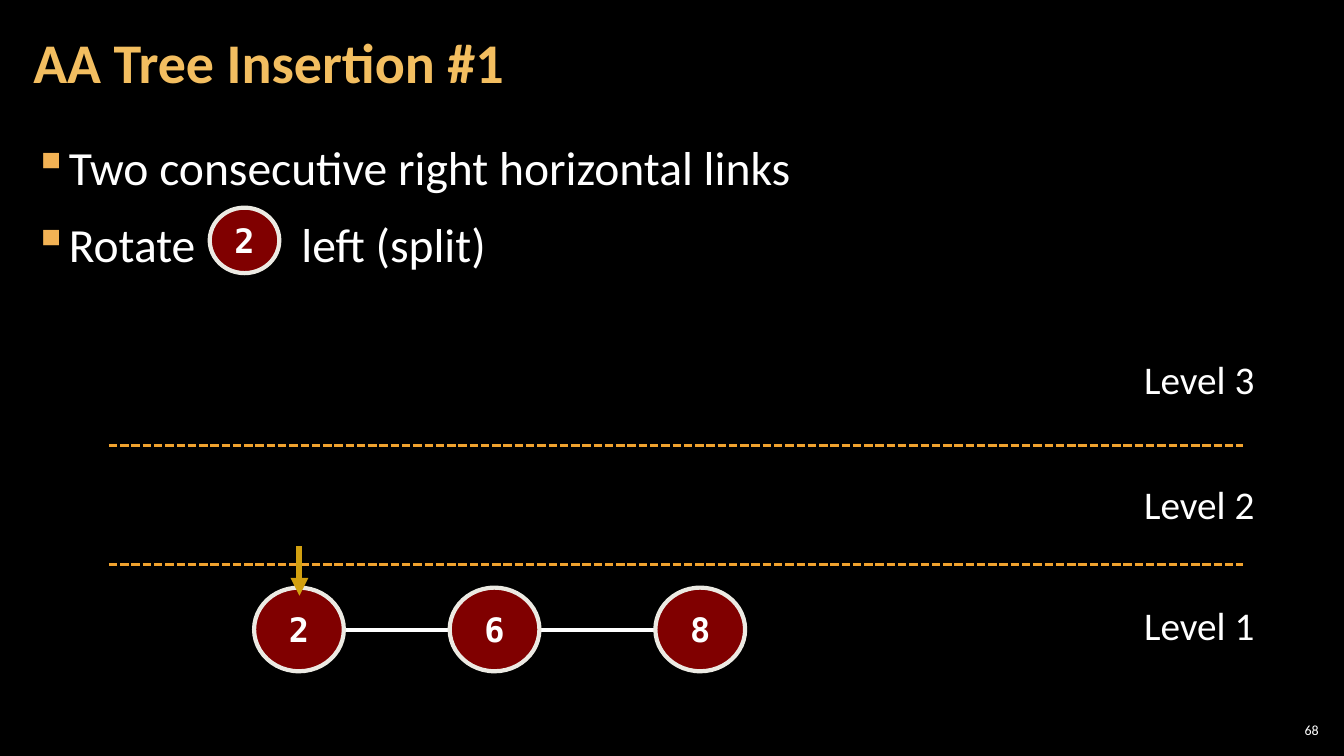
from dataclasses import dataclass

from lxml import etree
from pptx import Presentation
from pptx.dml.color import RGBColor
from pptx.enum.dml import MSO_LINE
from pptx.enum.shapes import MSO_CONNECTOR, MSO_SHAPE
from pptx.enum.text import MSO_ANCHOR, MSO_AUTO_SIZE, PP_ALIGN
from pptx.oxml.ns import qn
from pptx.util import Inches, Pt

LEFT, CENTER, RIGHT = PP_ALIGN.LEFT, PP_ALIGN.CENTER, PP_ALIGN.RIGHT
TOP, MIDDLE = MSO_ANCHOR.TOP, MSO_ANCHOR.MIDDLE
STRAIGHT, OVAL, DASH = MSO_CONNECTOR.STRAIGHT, MSO_SHAPE.OVAL, MSO_LINE.SQUARE_DOT


@dataclass(frozen=True)
class Theme:
    background: str = "000000"
    text: str = "FFFFFF"
    title: str = "F3BE60"
    bullet: str = "F2B254"
    level_line: str = "F0A22E"
    pointer: str = "D2A010"
    node_fill: str = "FF0000"
    node_line: str = "ECEAE3"
    font: str = "Calibri"
    node_font: str = "DejaVu Sans Mono"
    title_size: int = 40
    body_size: int = 34
    level_size: int = 28
    node_size: int = 24
    number_size: int = 10


THEME = Theme()


def write(shape, lines, size, color=THEME.text, font=THEME.font, bold=False,
          align=LEFT, anchor=TOP, wrap=True, margins=(0.1, 0.05)):
    """Fill a shape with equally formatted paragraphs and return them."""
    frame = shape.text_frame
    frame.text = "\n".join(lines)
    frame.auto_size = MSO_AUTO_SIZE.NONE
    frame.word_wrap = wrap
    frame.vertical_anchor = anchor
    frame.margin_left = frame.margin_right = Inches(margins[0])
    frame.margin_top = frame.margin_bottom = Inches(margins[1])
    for para in frame.paragraphs:
        para.alignment = align
        para.font.name = font
        para.font.size = Pt(size)
        para.font.bold = bold
        para.font.color.rgb = RGBColor.from_string(color)
    return frame.paragraphs


def draw_line(x1, y1, x2, y2, color, width):
    line = page.shapes.add_connector(
        STRAIGHT, Inches(x1), Inches(y1), Inches(x2), Inches(y2))
    line.line.color.rgb = RGBColor.from_string(color)
    line.line.width = Pt(width)
    etree.SubElement(line._element.spPr, qn("a:effectLst"))
    return line


# Slide
deck = Presentation()
deck.slide_width, deck.slide_height = Inches(13.33), Inches(7.5)
page = deck.slides.add_slide(deck.slide_layouts[5])
page.background.fill.solid()
page.background.fill.fore_color.rgb = RGBColor.from_string(THEME.background)

# Title
title = page.shapes.title
title.left, title.top = Inches(0.21), Inches(0.04)
title.width, title.height = Inches(10.47), Inches(1.21)
heading = write(title, ["AA Tree Insertion #1"], THEME.title_size, THEME.title,
                bold=True, anchor=MIDDLE, margins=(0.12, 0.04))
heading[0].line_spacing = 0.9

# Bullets, with a tab leaving room for the node inside the second one
body = page.shapes.add_textbox(Inches(0.21), Inches(1.3), Inches(12.91), Inches(6.05))
bullets = ["Two consecutive right horizontal links", "Rotate\tleft (split)"]
paras = write(body, bullets, THEME.body_size, margins=(0.12, 0.04))
for index, para in enumerate(paras):
    para.line_spacing = 1.05
    para.space_before = Pt(6 if index else 0)
    para.space_after = Pt(6)
    properties = para._p.get_or_add_pPr()
    properties.set("marL", str(Inches(0.33)))
    properties.set("indent", str(-Inches(0.33)))
    bullet_color = etree.Element(qn("a:buClr"))
    etree.SubElement(bullet_color, qn("a:srgbClr"), val=THEME.bullet)
    bullet_char = etree.Element(qn("a:buChar"), char="▪")
    tabs = etree.Element(qn("a:tabLst"))
    etree.SubElement(tabs, qn("a:tab"), pos=str(Inches(2.66)), algn="l")
    run_defaults = properties.find(qn("a:defRPr"))
    for element in (bullet_color, bullet_char, tabs):
        run_defaults.addprevious(element)

# Level separators and labels
for y in (4.42, 5.6):
    draw_line(1.08, y, 12.33, y, THEME.level_line, 2).line.dash_style = DASH
for level, y in enumerate((5.92, 4.72, 3.48), start=1):
    label = page.shapes.add_textbox(Inches(11.25), Inches(y), Inches(1.31), Inches(0.57))
    write(label, [f"Level {level}"], THEME.level_size, wrap=False)

# Horizontal links between the tree nodes
NODE_WIDTH, NODE_HEIGHT, NODE_TOP = 0.89, 0.83, 5.83
tree = [("2", 2.52), ("6", 4.46), ("8", 6.5)]
for (_, start), (_, end) in zip(tree, tree[1:]):
    draw_line(end, 6.25, start + NODE_WIDTH, 6.25, THEME.text, 3)

# Nodes: the tree and the small one in the bullet
nodes = [(key, x, NODE_TOP, NODE_WIDTH, NODE_HEIGHT) for key, x in tree]
nodes.append(("2", 2.08, 2.06, 0.69, 0.65))
for key, x, y, width, height in nodes:
    node = page.shapes.add_shape(OVAL, Inches(x), Inches(y), Inches(width), Inches(height))
    node.shadow.inherit = False
    node.fill.solid()
    node.fill.fore_color.rgb = RGBColor.from_string(THEME.node_fill)
    fill_color = node._element.spPr.find(qn("a:solidFill"))[0]
    etree.SubElement(fill_color, qn("a:alpha"), val="50000")
    node.line.color.rgb = RGBColor.from_string(THEME.node_line)
    node.line.width = Pt(3)
    write(node, [key], THEME.node_size, font=THEME.node_font, bold=True,
          align=CENTER, anchor=MIDDLE, wrap=False)

# Arrow pointing at the node to rotate
pointer = draw_line(2.97, 5.42, 2.97, 5.91, THEME.pointer, 4.25)
etree.SubElement(pointer.line._get_or_add_ln(), qn("a:tailEnd"), type="triangle")

# Slide number
number = page.shapes.add_textbox(Inches(12.65), Inches(7.14), Inches(0.47), Inches(0.21))
write(number, ["68"], THEME.number_size, align=RIGHT, anchor=MIDDLE, margins=(0.04, 0.04))

deck.save("out.pptx")
